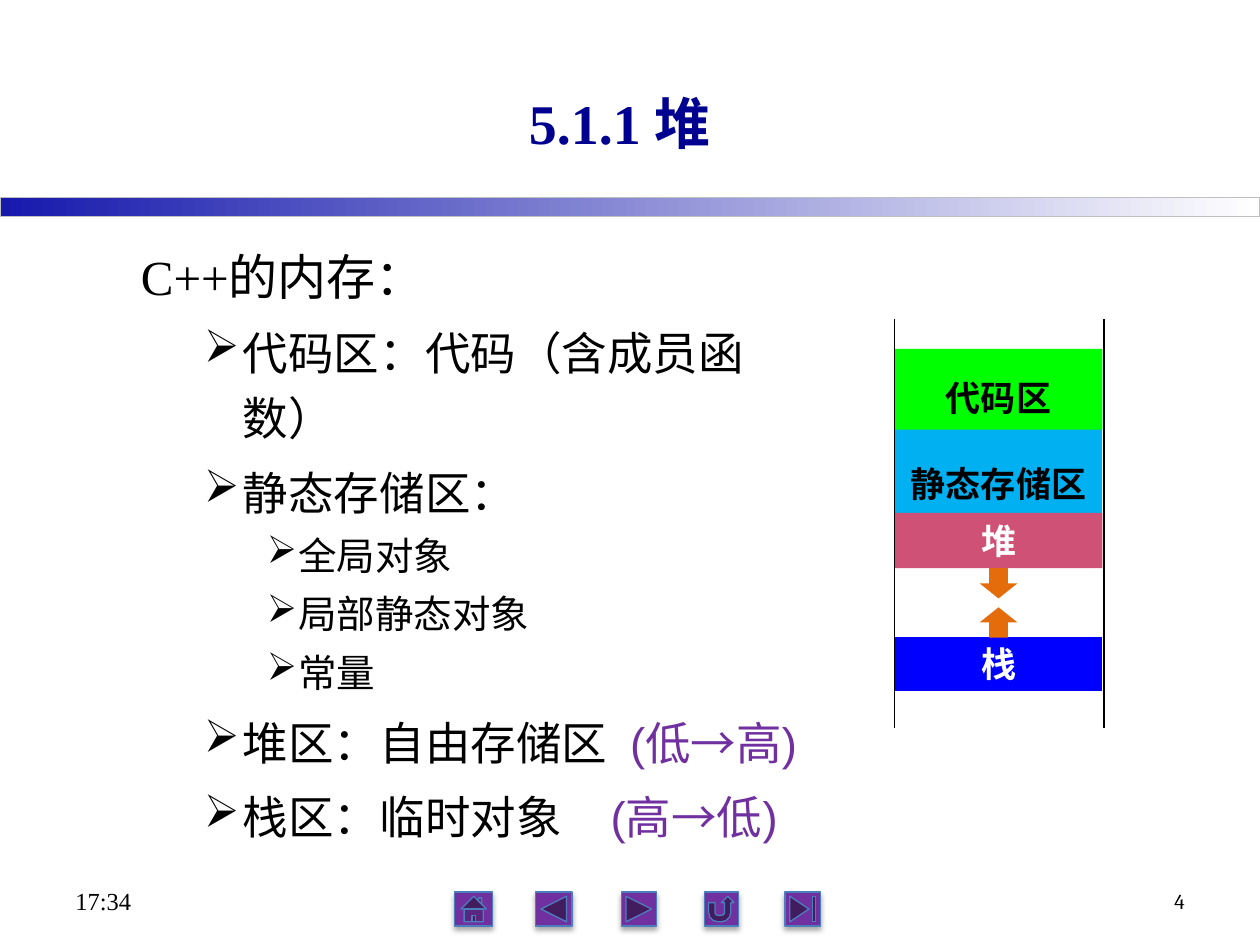
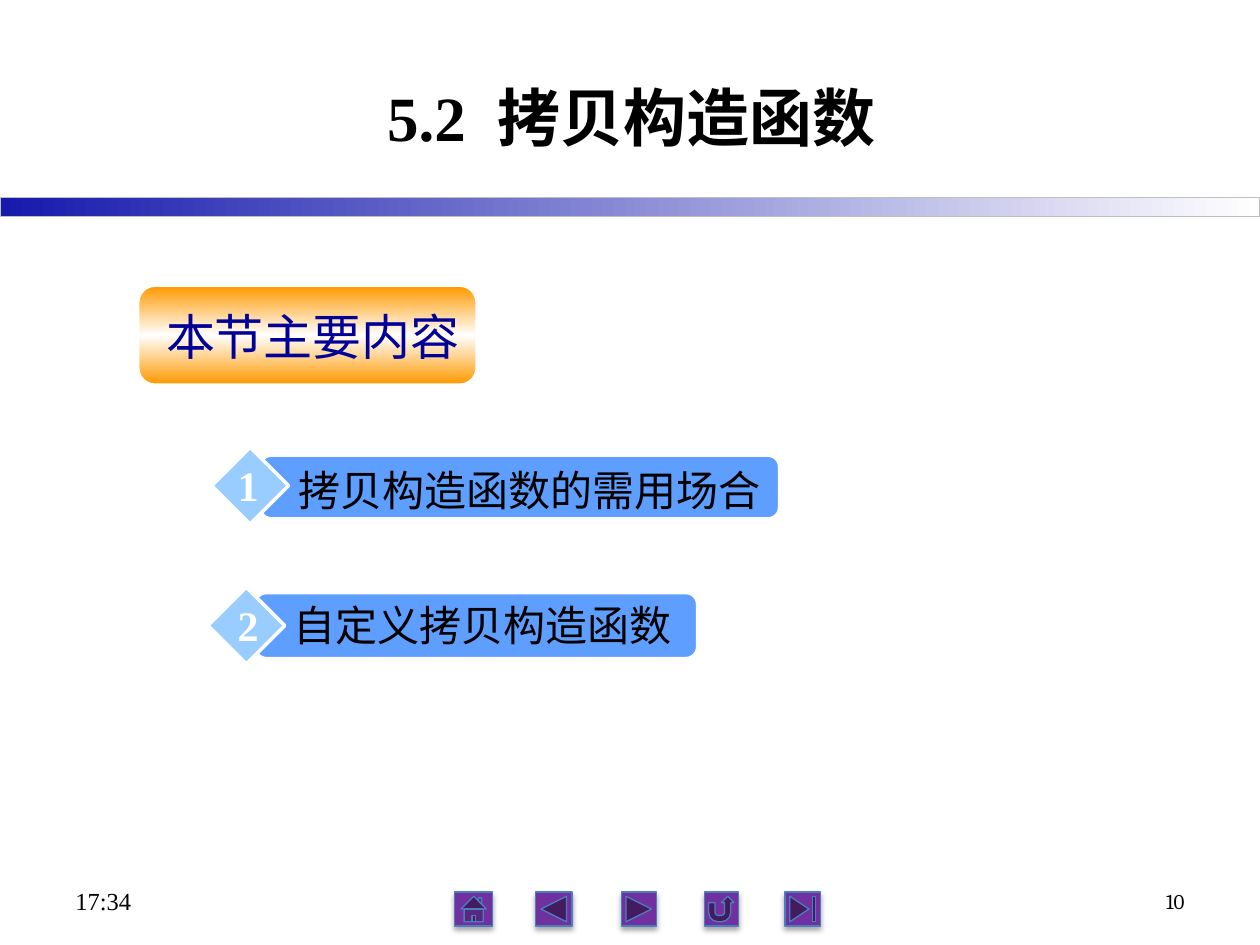
from pptx import Presentation
from pptx.dml.color import RGBColor
from pptx.enum.shapes import MSO_CONNECTOR, MSO_SHAPE
from pptx.enum.text import MSO_ANCHOR, PP_ALIGN
from pptx.oxml.ns import qn
from pptx.util import Inches, Pt
from lxml.etree import SubElement
from copy import deepcopy

prs = Presentation()
prs.slide_width, prs.slide_height = Inches(10), Inches(7.5)
COL, ROW = prs.slide_width / 100, prs.slide_height / 75

hexc = RGBColor.from_string
BLACK, WHITE, PURPLE, NAVY = "000000", "FFFFFF", "7030A0", "000090"
ORANGE, BAR_BLUE, PALE_BLUE = "E46C0A", "5E9EFF", "99CCFF"
SERIF, SANS, CJK = "Times New Roman", "Arial", "Noto Sans CJK SC"
LEFT, CENTER, RIGHT = PP_ALIGN.LEFT, PP_ALIGN.CENTER, PP_ALIGN.RIGHT


def add_box(s, kind, x, y, w, h, fill=None, line=None, weight=0.75, anchor=MSO_ANCHOR.TOP):
    place = [int(v) for v in (x * COL, y * ROW, w * COL, h * ROW)]
    if kind is None:
        sp = s.shapes.add_textbox(*place)
    else:
        sp = s.shapes.add_shape(kind, *place)
        sp.shadow.inherit = False
        if isinstance(fill, str):
            sp.fill.solid()
            sp.fill.fore_color.rgb = hexc(fill)
        else:
            angle, colours = fill
            sp.fill.gradient()
            sp.fill.gradient_angle = angle
            stops = sp._element.spPr.find(".//" + qn("a:gsLst"))
            for _ in colours[2:]:
                stops.append(deepcopy(stops[0]))
            for i, (stop, colour) in enumerate(zip(sp.fill.gradient_stops, colours)):
                stop.position = i / (len(colours) - 1)
                stop.color.rgb = hexc(colour)
        if line:
            sp.line.color.rgb = hexc(line)
            sp.line.width = Pt(weight)
        else:
            sp.line.fill.background()
    sp.text_frame.word_wrap = True
    sp.text_frame.vertical_anchor = anchor
    return sp


def add_par(sp, runs, size, colour=BLACK, font=SERIF, bold=False, align=LEFT, spacing=1.0, before=0):
    tf = sp.text_frame
    p = tf.add_paragraph() if tf.paragraphs[0].runs else tf.paragraphs[0]
    p.alignment, p.line_spacing, p.space_before = align, spacing, Pt(before)
    for text, run_colour, tracking in runs:
        r = p.add_run()
        r.text = text
        r.font.size, r.font.bold, r.font.name = Pt(size), bold, font
        r.font.color.rgb = hexc(run_colour or colour)
        rpr = r._r.get_or_add_rPr()
        SubElement(rpr, qn("a:ea")).set("typeface", CJK)
        if tracking:
            rpr.set("spc", str(tracking * 100))
    return p


BUTTONS = [
    (MSO_SHAPE.ACTION_BUTTON_HOME, 36.1, 3),
    (MSO_SHAPE.ACTION_BUTTON_BACK_OR_PREVIOUS, 42.5, 2.9),
    (MSO_SHAPE.ACTION_BUTTON_FORWARD_OR_NEXT, 49.3, 2.8),
    (MSO_SHAPE.ACTION_BUTTON_RETURN, 55.9, 2.7),
    (MSO_SHAPE.ACTION_BUTTON_END, 62.3, 2.8),
]
PAGES = [
    ("4", (10.2, 3.4), 32, NAVY, [("5.1.1 堆", None, 0)]),
    ("10", (11.1, 3), 36, BLACK, [("5.2", None, 0), (" ", None, 9), ("拷贝构造函数", None, 0)]),
]
slides = []
for number, (x, y), size, colour, title in PAGES:
    s = prs.slides.add_slide(prs.slide_layouts[6])
    slides.append(s)
    add_box(s, MSO_SHAPE.RECTANGLE, 0, 15.7, 100, 1.5, (0, ["1619AC", WHITE]), "BFBFBF")
    for kind, left, width in BUTTONS:
        sp = add_box(s, kind, left, 70.8, width, 2.7, PURPLE, "4B7EBC")
        effects = sp._element.spPr.find(qn("a:effectLst"))
        shadow = SubElement(effects, qn("a:outerShdw"), blurRad=str(Pt(3.1)),
                            dist=str(Pt(1.8)), dir="5400000", rotWithShape="0")
        black = SubElement(shadow, qn("a:srgbClr"), val=BLACK)
        SubElement(black, qn("a:alpha"), val="35000")
    sp = add_box(s, None, 5, 69.5, 23.3, 4, anchor=MSO_ANCHOR.MIDDLE)
    add_par(sp, [("17:34", None, 0)], 14)
    sp = add_box(s, None, 71.7, 69.5, 23.3, 4, anchor=MSO_ANCHOR.MIDDLE)
    add_par(sp, [(number, None, 0)], 12, font="Cambria", align=RIGHT)
    sp = add_box(s, None, x, y, 78, 12.5, anchor=MSO_ANCHOR.MIDDLE)
    add_par(sp, title, size, colour, bold=True, align=CENTER)

heap, copying = slides

LEVELS = [
    (28, SERIF, 1.2, 2, -2),
    (26, SANS, 1.2, 8.1, -3.1),
    (22, SANS, 1.1, 12.5, -2.5),
]
OUTLINE = [
    (0, [("C++的内存：", None, 0)]),
    (1, [("代码区：代码（含成员函数）", None, 0)]),
    (1, [("静态存储区：", None, 0)]),
    (2, [("全局对象", None, 0)]),
    (2, [("局部静态对象", None, 0)]),
    (2, [("常量", None, 0)]),
    (1, [("堆区：自由存储区", None, 0), (" ", None, 7), ("(低→高)", PURPLE, 0)]),
    (1, [("栈区：临时对象", None, 0), (" ", None, 22), ("(高→低)", PURPLE, 0)]),
]
sp = add_box(heap, None, 10.2, 18.1, 56.9, 48.2)
for level, runs in OUTLINE:
    size, font, spacing, margin, indent = LEVELS[level]
    p = add_par(sp, runs, size, font=font, spacing=spacing, before=size * 0.2)
    p.level = level
    ppr = p._p.get_or_add_pPr()
    ppr.set("marL", str(int(margin * COL)))
    ppr.set("indent", str(int(indent * COL)))
    if level:
        SubElement(ppr, qn("a:buChar")).set("char", "➢")

MEM_X, MEM_W = 71, 16.5
REGIONS = [
    ("静态存储区", 32.9, 8.1, "00B0F0", WHITE, BLACK, 2.0, 12),
    ("代码区", 27.7, 6.4, "00FF00", None, BLACK, 1.5, 0),
    ("栈", 50.5, 4.4, "0000FF", WHITE, WHITE, 1.0, 0),
    ("堆", 40.7, 4.4, "CF5175", None, WHITE, 1.0, 6),
]
for name, y, h, fill, line, colour, spacing, before in REGIONS:
    sp = add_box(heap, MSO_SHAPE.RECTANGLE, MEM_X, y, MEM_W, h, fill, line)
    add_par(sp, [(name, None, 0)], 20, colour, CJK, True, CENTER, spacing, before)
for kind, y in ((MSO_SHAPE.UP_ARROW, 48.2), (MSO_SHAPE.DOWN_ARROW, 45.1)):
    add_box(heap, kind, MEM_X + MEM_W / 2 - 1.5, y, 3, 2.4, ORANGE)
for x in (MEM_X, MEM_X + MEM_W + 0.1):
    side = heap.shapes.add_connector(MSO_CONNECTOR.STRAIGHT, int(x * COL), int(25.3 * ROW),
                                     int(x * COL), int(57.8 * ROW))
    side.line.color.rgb = hexc(BLACK)
    side.line.width = Pt(1)
    SubElement(side._element.spPr, qn("a:effectLst"))

add_box(copying, MSO_SHAPE.ROUNDED_RECTANGLE, 11, 22.7, 26.8, 7.8,
        (90, ["FF9900", WHITE, "FF9900"]), WHITE, 1)
sp = add_box(copying, None, 12.2, 23.4, 25.6, 5.7)
sp.text_frame.margin_top, sp.text_frame.margin_bottom = int(0.9 * ROW), int(0.1 * ROW)
add_par(sp, [("本节主要内容", None, 0)], 28, "000099", SANS)

TOPICS = [
    ("1", "拷贝构造函数的需用场合", 20.7, 36.2, 41.1, 4.9, 16.8, 35.5, 36, 0.9),
    ("2", "自定义拷贝构造函数", 20.3, 47.1, 35, 5.1, 16.5, 46.6, 47.1, 0.5),
]
for number, topic, x, y, w, h, mark_x, mark_y, text_y, inset in TOPICS:
    add_box(copying, MSO_SHAPE.ROUNDED_RECTANGLE, x, y, w, h, BAR_BLUE, WHITE, 1)
    add_box(copying, MSO_SHAPE.DIAMOND, mark_x, mark_y, 6.1, 6.1, PALE_BLUE, WHITE, 2)
    sp = add_box(copying, None, x + 2, text_y, w - 1, 5.1)
    sp.text_frame.margin_top = int(inset * ROW)
    add_par(sp, [(topic, None, 0)], 24)
    sp = add_box(copying, None, 17.8, text_y, 3.8, 5)
    add_par(sp, [(number, None, 0)], 24, WHITE, bold=True, align=CENTER)

prs.save("out.pptx")
